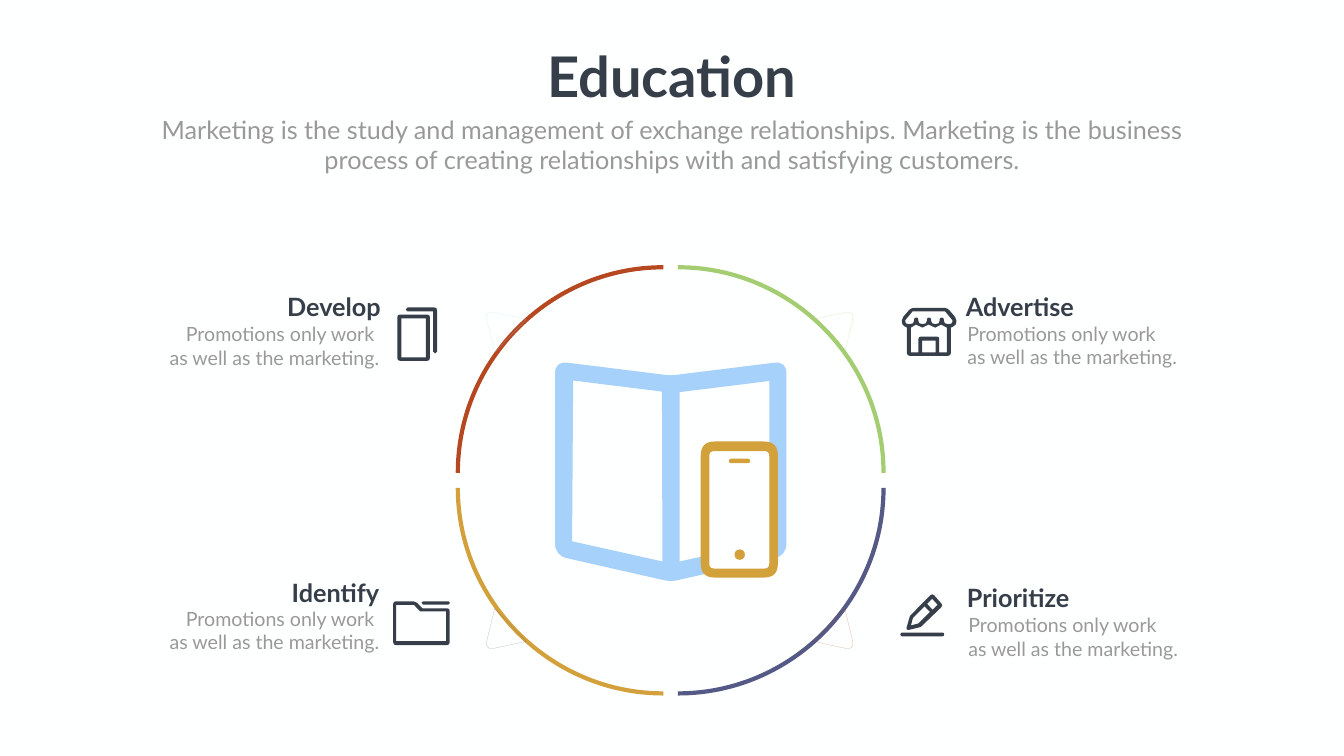
from math import hypot
from pptx import Presentation
from pptx.util import Pt
from pptx.dml.color import RGBColor
from pptx.enum.shapes import MSO_SHAPE
from pptx.enum.text import PP_ALIGN, MSO_ANCHOR
from pptx.oxml.ns import qn

OVAL = MSO_SHAPE.OVAL
LEFT, MID, RIGHT = PP_ALIGN.LEFT, PP_ALIGN.CENTER, PP_ALIGN.RIGHT
TOP = MSO_ANCHOR.TOP
WHITE = RGBColor(0xFE, 0xFF, 0xFF)
DARK = RGBColor(0x36, 0x3E, 0x49)
GRAY = RGBColor(0x98, 0x99, 0x98)
SKY = RGBColor(0xA6, 0xD1, 0xFA)
GOLD = RGBColor(0xD3, 0xA1, 0x3B)
GREEN = RGBColor(0xA4, 0xCD, 0x71)
NAVY = RGBColor(0x54, 0x59, 0x85)
RUST = RGBColor(0xB5, 0x48, 0x20)

deck = Presentation()
deck.slide_width, deck.slide_height = Pt(1919.52), Pt(1080)
slide = deck.slides.add_slide(deck.slide_layouts[5])
slide.background.fill.solid()
slide.background.fill.fore_color.rgb = WHITE
shapes = slide.shapes


def box(x, y, w, h, r=0):
    return [(x, y, r), (x + w, y, r), (x + w, y + h, r), (x, y + h, r)]


def draw(color, *loops):
    pen, bends, count = None, [], 0
    for loop in loops:
        dots = []
        for i, (x, y, *rest) in enumerate(loop):
            spot = Pt(x), Pt(y)
            if not rest or not rest[0]:
                dots.append(spot)
                continue
            ends = []
            for near in (loop[i - 1], loop[(i + 1) % len(loop)]):
                dx, dy = near[0] - x, near[1] - y
                part = min(rest[0] / hypot(dx, dy), 0.5)
                ends.append((Pt(x + dx * part), Pt(y + dy * part)))
            bends.append(count + len(dots) + 1)
            dots += [ends[0], spot, ends[1]]
        if pen is None:
            pen = shapes.build_freeform(*dots[0])
        else:
            pen.move_to(*dots[0])
        pen.add_line_segments(dots[1:], close=True)
        count += len(dots) + 1
    shape = pen.convert_to_shape()
    trace = shape._element.find(".//" + qn("a:path"))
    nodes = list(trace)
    for i in bends:
        curve = trace.makeelement(qn("a:quadBezTo"))
        nodes[i].addprevious(curve)
        for node in nodes[i:i + 2]:
            curve.append(node[0])
            trace.remove(node)
    shape.shadow.inherit = False
    shape.fill.solid()
    shape.fill.fore_color.rgb = color
    shape.line.fill.background()


book = [(792.7, 516, 18), (957.8, 536.5, 6), (1123.2, 516, 18),
        (1123.2, 793.6, 18), (958, 831, 8), (792.7, 793.6, 18)]
page = [(818.6, 543.6), (945.4, 559.4), (946.1, 802.1), (817.2, 773.3), (817.2, 751)]
leaf = [(970.6, 560.2), (1098.7, 544.3), (1098.7, 722), (1097.3, 774), (970.6, 802.1)]
draw(SKY, book, page, leaf)
draw(WHITE, box(1009.4, 640.1, 94.3, 177.1))
draw(GOLD, box(1000.8, 630.7, 110.2, 194.4, 20), box(1013, 644.4, 85.7, 167.8, 7))
dot = shapes.add_shape(OVAL, Pt(1049), Pt(784.8), Pt(15), Pt(15))
dot.shadow.inherit = False
dot.fill.solid()
dot.fill.fore_color.rgb = GOLD
dot.line.fill.background()
draw(GOLD, box(1041.1, 655.2, 30.2, 6.5, 3.2))

MIDX, MIDY, RAD, BEND = 957.9, 686.2, 293.6, 0.55
for color, sx, sy in ((GREEN, 1, -1), (NAVY, 1, 1), (RUST, -1, -1), (GOLD, -1, 1)):
    dots = [(Pt(MIDX + sx * (10.4 + RAD * u)), Pt(MIDY + sy * (10.8 + RAD * v)))
            for u, v in ((0, 1), (BEND, 1), (1, BEND), (1, 0))]
    pen = shapes.build_freeform(*dots[0])
    pen.add_line_segments(dots[1:], close=False)
    arc = pen.convert_to_shape()
    trace = arc._element.find(".//" + qn("a:path"))
    curve = trace.makeelement(qn("a:cubicBezTo"))
    for node in list(trace)[1:]:
        curve.append(node[0])
        trace.remove(node)
    trace.append(curve)
    arc.shadow.inherit = False
    arc.fill.background()
    arc.line.color.rgb = color
    arc.line.width = Pt(6)

for color, sx, sy in ((RUST, 1, 1), (GREEN, 1, -1), (NAVY, -1, 1), (SKY, -1, -1)):
    fin = [(956.5 + sx * x, 686.2 + sy * y, r)
           for x, y, r in ((250, 183, 0), (205, 230, 0), (264.6, 243, 15))]
    draw(color, fin * 2)

draw(DARK, box(567.4, 449.3, 46.6, 66.2, 4), box(573.1, 455, 35.3, 55.4))
draw(DARK, [(579.6, 439.2, 2.5), (624.2, 439.2, 4), (624.2, 504.7, 2.5),
            (618.5, 504.7, 2.5), (618.5, 445), (579.6, 445, 2.5)])

draw(DARK,
     [(561.6, 859, 4), (593.5, 859, 3), (603.4, 869), (642.2, 869, 4),
      (642.2, 921.6, 4), (561.6, 921.6, 4)],
     [(565.9, 864), (591.1, 864), (600, 873.4), (637.2, 873.4),
      (637.2, 915.8), (565.9, 915.8)])
draw(DARK, box(601.9, 859, 40.8, 4.6, 2.3))

shop = [(1288, 455, 3), (1301, 439.9, 4), (1353, 439.9, 4), (1366, 455, 3),
        (1366, 464, 6), (1358, 468), (1358, 508.3, 4), (1295.3, 508.3, 4),
        (1295.3, 468), (1288, 464, 6)]
roof = [(1293.1, 457.2), (1303.2, 445), (1350, 445), (1360.1, 457.2), (1360.1, 463, 5)]
for x in (1345, 1326.8, 1308.5):
    roof += [(x + 3, 463, 6), (x + 3, 453.6, 3), (x - 3, 453.6, 3), (x - 3, 463, 6)]
roof.append((1293.1, 463, 5))
wall = [(1301, 468), (1308.2, 463.7), (1317.6, 468), (1326.2, 463.7),
        (1335.6, 468), (1344.2, 463.7), (1352.2, 468), (1352.2, 503.3),
        (1341.4, 503.3), (1341.4, 481, 3), (1311.8, 481, 3), (1311.8, 503.3),
        (1301, 503.3)]
draw(DARK, shop, roof, wall, box(1316.9, 486.7, 19.4, 16.6))

draw(DARK,
     [(1293.5, 901, 5), (1299.6, 879.8), (1331.6, 847.5, 4),
      (1347, 865, 4), (1315, 895.7)],
     [(1331.3, 855.4), (1339.2, 864), (1332, 871.2), (1324.1, 862.6)],
     [(1303.9, 882.7), (1320.5, 866.2), (1328.4, 874.1), (1311.8, 890.6), (1301, 893.5)])
draw(DARK, box(1285.9, 903.6, 62.6, 5.6, 2.8))

HEAD = {"size": Pt(36), "bold": True, "name": "Lato"}
BODY = {"size": Pt(28), "bold": False, "name": "Lato"}
LEAD = {**BODY, "size": Pt(36)}
MAIN = {**HEAD, "size": Pt(80)}
INTRO = ("Marketing is the study and management of exchange relationships. "
         "Marketing is the business process of creating relationships with "
         "and satisfying customers.")
texts = [("Education", 771.1, 56.2, 377.3, 104.4, MAIN, DARK, MID),
         (INTRO, 193, 159.8, 1533.6, 94.3, LEAD, GRAY, MID)]
for name, x, y, left, top, side in (
        ("Develop", 362.9, 412.6, 223.9, 456.5, RIGHT),
        ("Identify", 360.7, 821.5, 223.9, 863.3, RIGHT),
        ("Advertise", 1372.3, 412.6, 1374.5, 455.8, LEFT),
        ("Prioritize", 1373.8, 828.7, 1375.9, 872.6, LEFT)):
    gap = " " if side == RIGHT else ""
    note = f"Promotions only work{gap}\nas well as the marketing."
    texts.append((name, x, y, 187.9, 51.1, HEAD, DARK, side))
    texts.append((note, left, top, 324.7, 74.9, BODY, GRAY, side))

for text, x, y, w, h, form, color, side in texts:
    rect = Pt(x), Pt(y), Pt(w), Pt(h)
    if form is MAIN:
        item = shapes.title
        item.left, item.top, item.width, item.height = rect
    else:
        item = shapes.add_textbox(*rect)
    frame = item.text_frame
    frame.text = text
    frame.word_wrap = form is not MAIN
    frame.vertical_anchor = TOP
    for para in frame.paragraphs:
        para.alignment = side
        font = para.runs[0].font
        for key, value in form.items():
            setattr(font, key, value)
        font.color.rgb = color

deck.save("out.pptx")
